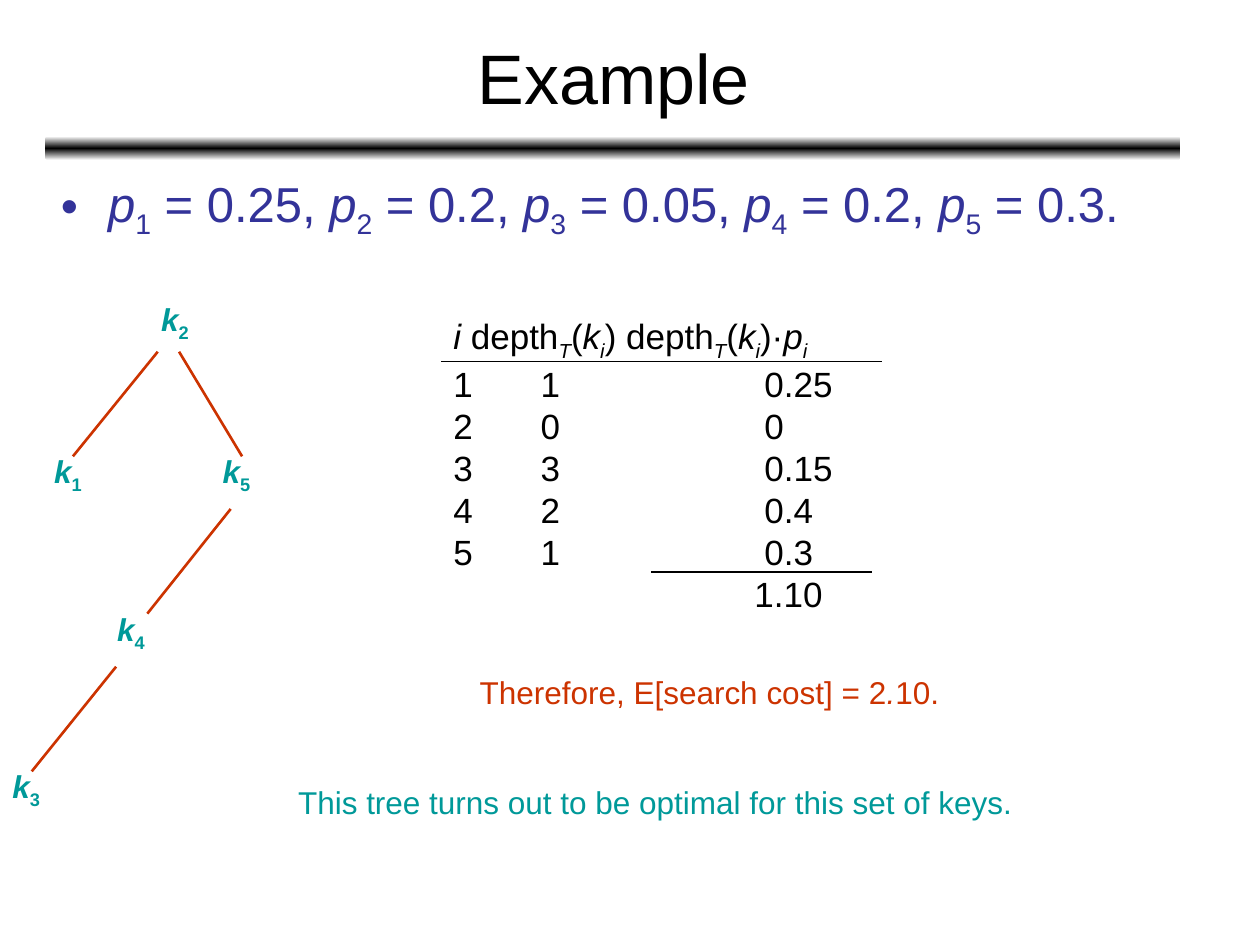
import pptx
import pptx.util
import pptx.dml.color
import pptx.enum.text
import pptx.enum.shapes
import pptx.oxml
import pptx.oxml.ns
import copy
import dataclasses

Cm = pptx.util.Cm
Pt = pptx.util.Pt
qn = pptx.oxml.ns.qn


@dataclasses.dataclass(frozen=True)
class Theme:
    font: str = "Arial"
    ink: str = "000000"
    paper: str = "FFFFFF"
    formula: str = "333399"
    key: str = "009999"
    accent: str = "CC3300"
    title_size: int = 40
    formula_size: int = 28
    table_size: int = 20
    label_size: int = 18


theme = Theme()
deck = pptx.Presentation()
deck.slide_width, deck.slide_height = Cm(25.4), Cm(19.05)
page = deck.slides.add_slide(deck.slide_layouts[6])


def add_text(area, paragraphs, size, color, wrap=True):
    box = page.shapes.add_textbox(*map(Cm, area))
    frame = box.text_frame
    frame.word_wrap = wrap
    for number, pieces in enumerate(paragraphs):
        para = frame.add_paragraph() if number else frame.paragraphs[0]
        for text, style in pieces:
            span = para.add_run()
            span.text = text
            span.font.name = theme.font
            span.font.size = Pt(size)
            span.font.color.rgb = pptx.dml.color.RGBColor.from_string(color)
            span.font.italic = "i" in style
            span.font.bold = "b" in style
            if "s" in style:
                span.font._element.set("baseline", "-25000")
    return frame


def add_line(start, end, color, width):
    line = page.shapes.add_connector(
        pptx.enum.shapes.MSO_CONNECTOR.STRAIGHT, *map(Cm, start + end))
    line.line.color.rgb = pptx.dml.color.RGBColor.from_string(color)
    line.line.width = Pt(width)
    line._element.spPr.append(pptx.oxml.parse_xml(
        f'<a:effectLst {pptx.oxml.ns.nsdecls("a")}/>'))


bar = page.shapes.add_shape(
    pptx.enum.shapes.MSO_SHAPE.ROUNDED_RECTANGLE, Cm(0.91), Cm(2.75), Cm(22.89), Cm(0.48))
bar.shadow.inherit = False
bar.line.fill.background()
bar.fill.gradient()
bar.fill.gradient_angle = 90
stop_list = bar._element.spPr.find(".//" + qn("a:gsLst"))
stop_list.insert(1, copy.deepcopy(stop_list[0]))
for stop, position, color in zip(
        bar.fill.gradient_stops, (0, 0.5, 1), (theme.paper, theme.ink, theme.paper)):
    stop.position = position
    stop.color.rgb = pptx.dml.color.RGBColor.from_string(color)

title = add_text((0.94, 0.28, 22.86, 2.51), [[("Example", "")]], theme.title_size, theme.ink)
title.vertical_anchor = pptx.enum.text.MSO_ANCHOR.MIDDLE
title.paragraphs[0].alignment = pptx.enum.text.PP_ALIGN.CENTER

probabilities = [0.25, 0.2, 0.05, 0.2, 0.3]
depths = [1, 0, 3, 2, 1]

formula = []
for index, probability in enumerate(probabilities, 1):
    ending = "." if index == len(probabilities) else ", "
    formula += [("p", "i"), (str(index), "s"), (f" = {probability:g}{ending}", "")]
body = add_text((0.98, 3.37, 22.86, 14.1), [formula], theme.formula_size, theme.formula)
bullet = body.paragraphs[0]._p.get_or_add_pPr()
bullet.set("marL", str(Cm(0.95)))
bullet.set("indent", str(-Cm(0.95)))
for tag, attribute in (("buClr", ""), ("buFont", f'typeface="{theme.font}"'), ("buChar", 'char="•"')):
    child = f'<a:srgbClr val="{theme.formula}"/>' if tag == "buClr" else ""
    bullet.append(pptx.oxml.parse_xml(
        f'<a:{tag} {pptx.oxml.ns.nsdecls("a")} {attribute}>{child}</a:{tag}>'))

depth_of_key = [("depth", ""), ("T", "is"), ("(", ""), ("k", "i"), ("i", "is")]
header = [("i ", "i"), *depth_of_key, (") ", ""), *depth_of_key,
          (")·", ""), ("p", "i"), ("i", "is")]
costs = [depth * probability for depth, probability in zip(depths, probabilities)]
rows = [[(f"{index}\t{depth}\t{cost:g}", "")]
        for index, (depth, cost) in enumerate(zip(depths, costs), 1)]
total = [(f"\t{sum(costs):.2f}", "")]
table = add_text((8.89, 6.22, 12.7, 6.3), [header, *rows, total], theme.table_size, theme.ink)
row_stops = [(1.76, 6.27)] * len(rows)
for para, stops in zip(table.paragraphs[1:], [*row_stops, (6.07,)]):
    tabs = "".join(f'<a:tab pos="{Cm(stop)}" algn="l"/>' for stop in stops)
    para._p.get_or_add_pPr().append(pptx.oxml.parse_xml(
        f'<a:tabLst {pptx.oxml.ns.nsdecls("a")}>{tabs}</a:tabLst>'))

for left, right, height in ((8.89, 17.78, 7.29), (13.13, 17.58, 11.53)):
    add_line((left, height), (right, height), theme.ink, 1)

edge_drop = 2.11
for start_x, end_x, top in ((3.18, 1.47, 7.09), (3.61, 4.88, 7.09),
                            (4.65, 2.97, 10.26), (2.34, 0.64, 13.44)):
    add_line((start_x, top), (end_x, top + edge_drop), theme.accent, 1.5)

for key, left, top in ((2, 3, 5.92), (1, 0.84, 8.99), (5, 4.24, 8.99),
                       (4, 2.11, 12.17), (3, 0, 15.34)):
    add_text((left, top, 1.32, 1.12), [[("k", "bi"), (str(key), "bs")]],
             theme.label_size, theme.key)

add_text((9.42, 13.44, 9.78, 1.02),
         [[("Therefore, E[search cost] = 2", ""), (".", "i"), ("10.", "")]],
         theme.label_size, theme.accent, wrap=False)
add_text((5.76, 15.67, 14.91, 1.02),
         [[("This tree turns out to be optimal for this set of keys.", "")]],
         theme.label_size, theme.key, wrap=False)

deck.save("out.pptx")
